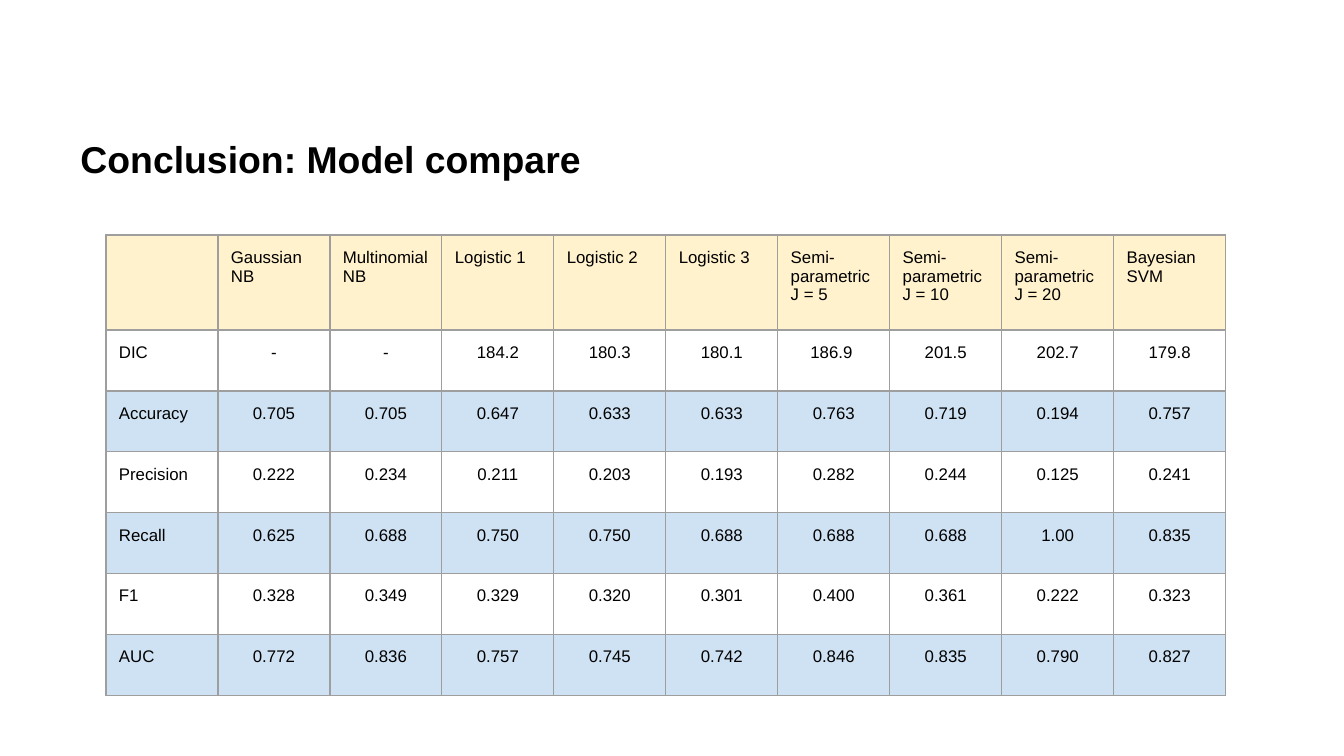
"""Build the model comparison slide with its table of scores."""
import lxml.etree
import pptx
import pptx.dml.color
import pptx.enum.text
import pptx.oxml.ns
import pptx.util

TITLE = "Conclusion: Model compare"
MODELS = [
    "", "Gaussian NB", "Multinomial NB", "Logistic 1", "Logistic 2", "Logistic 3",
    "Semi-parametric\nJ = 5", "Semi-parametric\nJ = 10", "Semi-parametric\nJ = 20",
    "Bayesian\nSVM",
]
SCORES = [
    ["DIC", "-", "-", "184.2", "180.3", "180.1", "186.9 ", "201.5", "202.7", "179.8"],
    ["Accuracy", "0.705", "0.705", "0.647", "0.633", "0.633", "0.763", "0.719", "0.194", "0.757"],
    ["Precision", "0.222", "0.234", "0.211", "0.203", "0.193", "0.282", "0.244", "0.125", "0.241"],
    ["Recall", "0.625", "0.688", "0.750", "0.750", "0.688", "0.688", "0.688", "1.00", "0.835"],
    ["F1", "0.328", "0.349", "0.329", "0.320", "0.301", "0.400", "0.361", "0.222", "0.323"],
    ["AUC", "0.772", "0.836", "0.757", "0.745", "0.742", "0.846", "0.835", "0.790", "0.827"],
]
FONT = "Arial"
BLACK, GREY = "000000", "9E9E9E"
HEADER_FILL, ROW_FILLS = "FFF2CC", ("CFE2F3", "FFFFFF")
SLIDE_SIZE = (1344, 756)
TITLE_BOX = (67, 99, 1210, 119)
TABLE_LEFT, TABLE_TOP = 106, 235
COLUMN_WIDTH, HEADER_HEIGHT, ROW_HEIGHT = 112, 95, 61
CELL_MARGIN = 13


def px(length):
    return pptx.util.Emu(round(length * 914400 / 134.4))


def color(value):
    return pptx.dml.color.RGBColor.from_string(value)


def format_paragraph(paragraph, size, alignment, bold=False):
    paragraph.alignment = alignment
    paragraph.font.name = FONT
    paragraph.font.size = pptx.util.Pt(size)
    paragraph.font.bold = bold
    paragraph.font.color.rgb = color(BLACK)


def add_borders(cell):
    qn = pptx.oxml.ns.qn
    properties = cell._tc.get_or_add_tcPr()
    for side in ("a:lnL", "a:lnR", "a:lnT", "a:lnB"):
        line = lxml.etree.SubElement(properties, qn(side), w=str(pptx.util.Pt(0.75)))
        fill = lxml.etree.SubElement(line, qn("a:solidFill"))
        lxml.etree.SubElement(fill, qn("a:srgbClr"), val=GREY)


def format_cell(cell, text, fill, alignment):
    cell.text = text
    cell.margin_left = cell.margin_right = px(CELL_MARGIN)
    cell.margin_top = cell.margin_bottom = px(CELL_MARGIN)
    add_borders(cell)
    cell.fill.solid()
    cell.fill.fore_color.rgb = color(fill)
    for paragraph in cell.text_frame.paragraphs:
        format_paragraph(paragraph, 9, alignment)


def add_title(slide):
    title = slide.shapes.title
    title.left, title.top, title.width, title.height = map(px, TITLE_BOX)
    title.text_frame.text = TITLE
    title.text_frame.vertical_anchor = pptx.enum.text.MSO_ANCHOR.MIDDLE
    format_paragraph(title.text_frame.paragraphs[0], 20, pptx.enum.text.PP_ALIGN.LEFT, True)


def add_score_table(slide):
    rows = [MODELS] + SCORES
    width = COLUMN_WIDTH * len(MODELS)
    height = HEADER_HEIGHT + ROW_HEIGHT * len(SCORES)
    table = slide.shapes.add_table(
        len(rows), len(MODELS), px(TABLE_LEFT), px(TABLE_TOP), px(width), px(height)
    ).table
    for column in table.columns:
        column.width = px(COLUMN_WIDTH)
    for row_index, texts in enumerate(rows):
        is_header = row_index == 0
        table.rows[row_index].height = px(HEADER_HEIGHT if is_header else ROW_HEIGHT)
        fill = HEADER_FILL if is_header else ROW_FILLS[row_index % 2]
        for column_index, text in enumerate(texts):
            is_label = is_header or column_index == 0
            align = pptx.enum.text.PP_ALIGN
            alignment = align.LEFT if is_label else align.CENTER
            format_cell(table.cell(row_index, column_index), text, fill, alignment)


def main():
    presentation = pptx.Presentation()
    presentation.slide_width, presentation.slide_height = map(px, SLIDE_SIZE)
    slide = presentation.slides.add_slide(presentation.slide_layouts.get_by_name("Title Only"))
    add_title(slide)
    add_score_table(slide)
    presentation.save("out.pptx")


if __name__ == "__main__":
    main()
